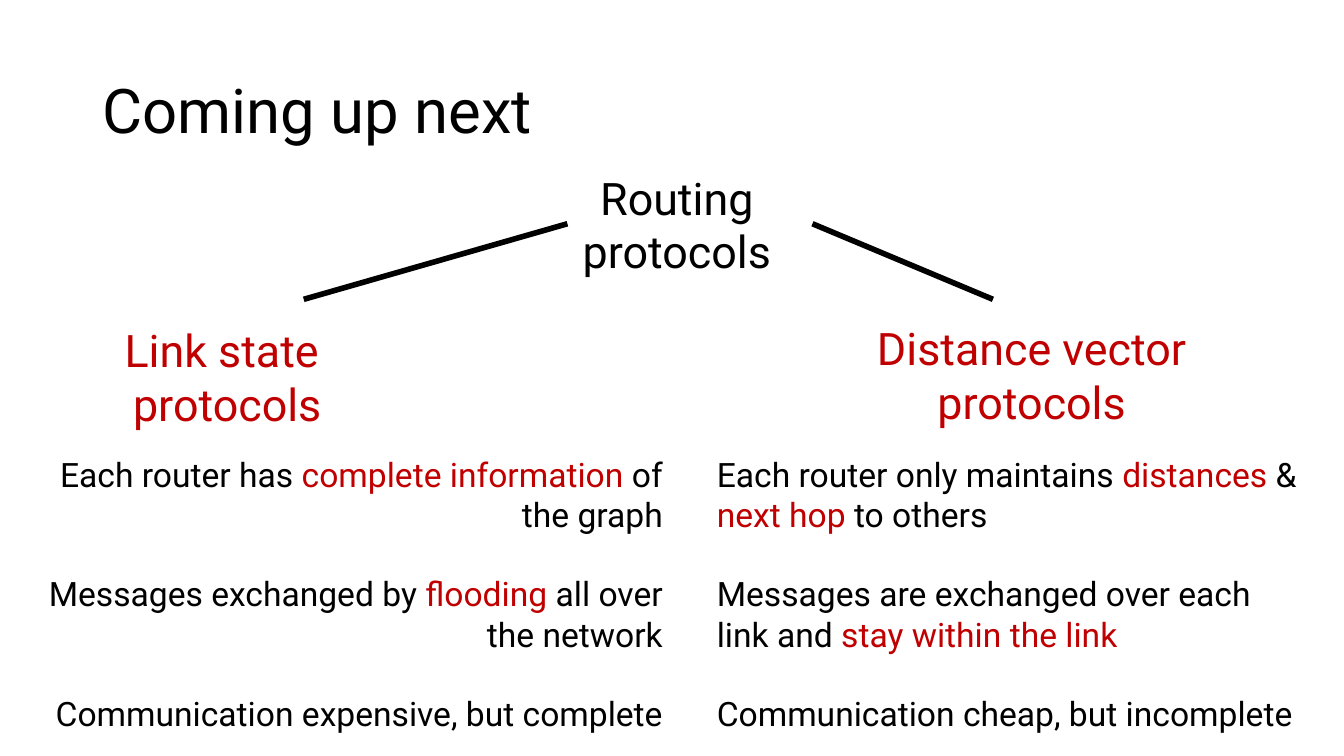
from dataclasses import dataclass

from lxml import etree
from pptx import Presentation
from pptx.dml.color import RGBColor
from pptx.enum.shapes import MSO_CONNECTOR
from pptx.enum.text import MSO_ANCHOR, MSO_AUTO_SIZE, PP_ALIGN
from pptx.oxml.ns import qn
from pptx.util import Inches, Pt

BLACK = RGBColor(0x00, 0x00, 0x00)
RED = RGBColor(0xC0, 0x00, 0x00)
FONT = "Roboto"
LEFT, CENTER, RIGHT = PP_ALIGN.LEFT, PP_ALIGN.CENTER, PP_ALIGN.RIGHT
MIDDLE = MSO_ANCHOR.MIDDLE
GROW = MSO_AUTO_SIZE.SHAPE_TO_FIT_TEXT
STRAIGHT = MSO_CONNECTOR.STRAIGHT

WIDTH, HEIGHT = Inches(13.33), Inches(7.5)
HEADING_SIZE, BODY_SIZE, TITLE_SIZE = 32, 24, 44
POINT_GAP = 28  # one body line between points

Run = tuple[str, RGBColor]


@dataclass(frozen=True)
class Area:
    """A rectangle in percent of the slide's width and height."""
    left: float
    top: float
    width: float
    height: float


@dataclass(frozen=True)
class TextBlock:
    area: Area
    size: int
    align: PP_ALIGN
    paragraphs: list[list[Run]]
    gap: int = 0


@dataclass(frozen=True)
class Branch:
    """A line between two points, in percent of the slide."""
    start: tuple[float, float]
    end: tuple[float, float]


def heading(left: float, top: float, color: RGBColor, *lines: str) -> TextBlock:
    return TextBlock(Area(left, top, 26.33, 15.73), HEADING_SIZE, CENTER,
                     [[(line, color)] for line in lines])


def body(left: float, width: float, align: PP_ALIGN,
         paragraphs: list[list[Run]]) -> TextBlock:
    return TextBlock(Area(left, 59.33, width, 39.07), BODY_SIZE, align,
                     paragraphs, POINT_GAP)


BLOCKS = [
    heading(37.2, 21.87, BLACK, "Routing protocols"),
    heading(3.75, 42, RED, "Link state ", "protocols"),
    heading(63.6, 41.73, RED, "Distance vector protocols"),
    body(2.2, 47.85, RIGHT, [
        [("Each router has ", BLACK), ("complete information", RED),
         (" of the graph", BLACK)],
        [("Messages exchanged by ", BLACK), ("flooding", RED),
         (" all over the network", BLACK)],
        [("Communication expensive, but complete", BLACK)],
    ]),
    body(52.6, 45.3, LEFT, [
        [("Each router only maintains ", BLACK), ("distances", RED),
         (" & ", BLACK), ("next hop ", RED), ("to others", BLACK)],
        [("Messages are exchanged over each link and ", BLACK),
         ("stay within the link", RED)],
        [("Communication cheap, but incomplete", BLACK)],
    ]),
]
BRANCHES = [
    Branch((42.22, 29.6), (22.6, 39.6)),
    Branch((60.45, 29.6), (73.88, 39.6)),
]


def across(percent: float) -> int:
    return round(WIDTH * percent / 100)


def down(percent: float) -> int:
    return round(HEIGHT * percent / 100)


def box(area: Area) -> tuple[int, int, int, int]:
    return (across(area.left), down(area.top),
            across(area.width), down(area.height))


def add_run(p, text: str, size: int, color: RGBColor) -> None:
    r = p.add_run()
    r.text = text
    for name, value in {"name": FONT, "size": Pt(size)}.items():
        setattr(r.font, name, value)
    r.font.color.rgb = color


def format_title(s) -> None:
    title = s.shapes.title
    title.left, title.top, title.width, title.height = box(
        Area(6.9, 5.33, 86.25, 19.33))
    tf = title.text_frame
    tf.vertical_anchor = MIDDLE
    p = tf.paragraphs[0]
    for name, value in {"alignment": LEFT, "line_spacing": 0.9}.items():
        setattr(p, name, value)
    add_run(p, "Coming up next", TITLE_SIZE, BLACK)


def draw_block(s, block: TextBlock) -> None:
    tf = s.shapes.add_textbox(*box(block.area)).text_frame
    for name, value in {"word_wrap": True, "auto_size": GROW}.items():
        setattr(tf, name, value)
    for i, runs in enumerate(block.paragraphs):
        p = tf.add_paragraph() if i else tf.paragraphs[0]
        p.alignment = block.align
        if i and block.gap:
            p.space_before = Pt(block.gap)
        for text, color in runs:
            add_run(p, text, block.size, color)


def draw_branch(s, branch: Branch) -> None:
    (x1, y1), (x2, y2) = branch.start, branch.end
    line = s.shapes.add_connector(STRAIGHT, across(x1), down(y1),
                                  across(x2), down(y2))
    line.line.color.rgb = BLACK
    line.line.width = Pt(4)
    etree.SubElement(line._element.spPr, qn("a:effectLst"))


def main() -> None:
    prs = Presentation()
    prs.slide_width, prs.slide_height = WIDTH, HEIGHT
    s = prs.slides.add_slide(prs.slide_layouts.get_by_name("Title Only"))
    format_title(s)
    for block in BLOCKS:
        draw_block(s, block)
    for branch in BRANCHES:
        draw_branch(s, branch)
    prs.save("out.pptx")


if __name__ == "__main__":
    main()
